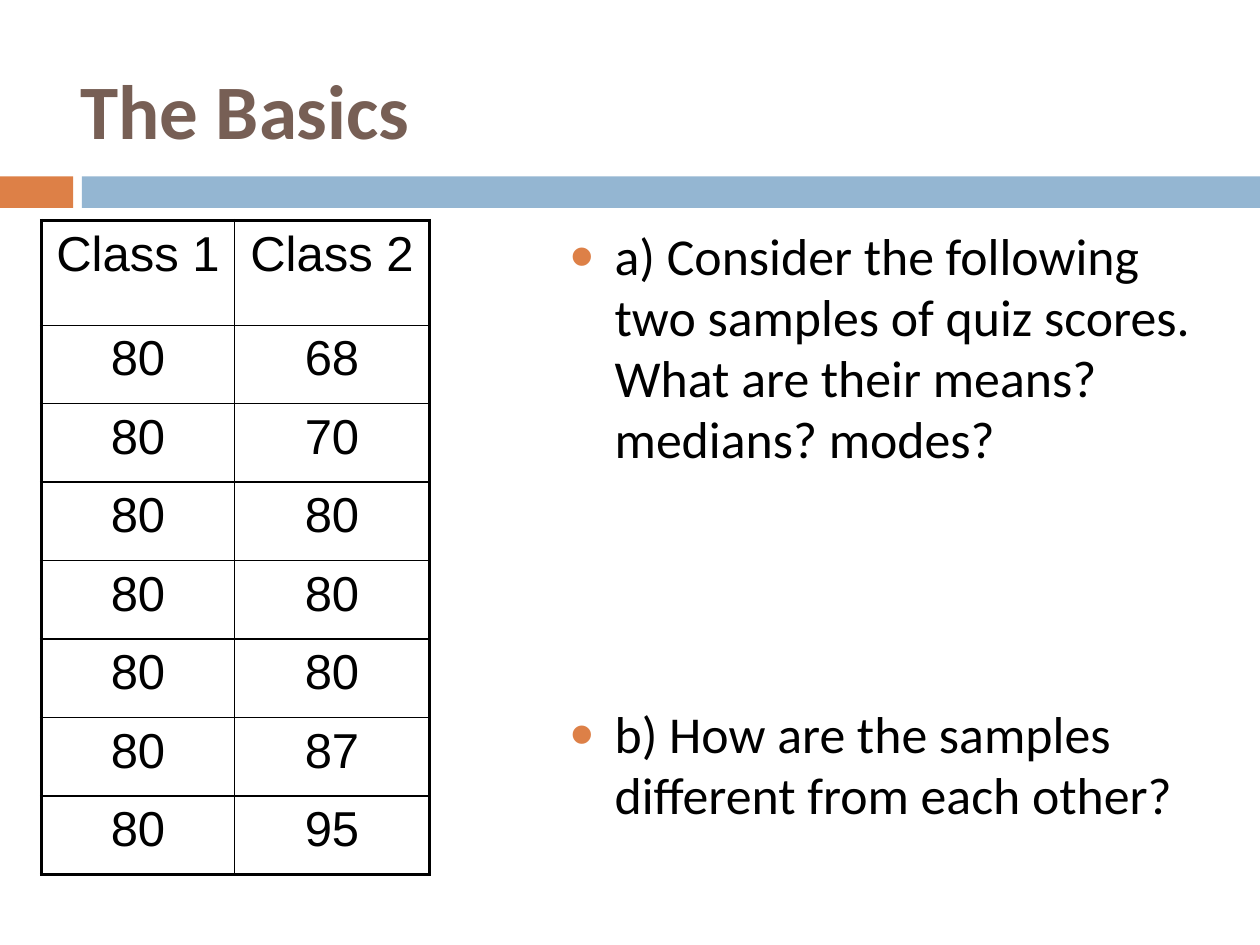
from dataclasses import dataclass

from lxml.etree import SubElement
from pptx import Presentation
from pptx.dml.color import RGBColor
from pptx.enum.shapes import MSO_SHAPE
from pptx.enum.text import MSO_ANCHOR, PP_ALIGN
from pptx.oxml.ns import qn
from pptx.util import Inches, Pt

WIDTH, HEIGHT = Inches(10), Inches(7.5)


@dataclass(frozen=True)
class Theme:
    brown: str = "775F55"
    orange: str = "DD8047"
    blue: str = "94B6D2"
    black: str = "000000"
    font: str = "Calibri"
    grid_font: str = "Arial"
    title: float = 44
    body: float = 29.6
    cell: float = 28
    thick: float = 2.25
    thin: float = 1


THEME = Theme()

SCORES = [
    ("Class 1", "Class 2"),
    *[("80", mark) for mark in ("68", "70", "80", "80", "80", "87", "95")],
]
ASKS = [
    "a) Consider the following two samples of quiz scores. "
    "What are their means? medians? modes?",
    "b) How are the samples different from each other?",
]


def across(share):
    return int(WIDTH * share / 100)


def down(share):
    return int(HEIGHT * share / 100)


def place(left, top, width, height):
    """Turn percentages of the slide into a position and size."""
    return across(left), down(top), across(width), down(height)


def style(para, face, size, color, bold=False):
    font = para.font
    font.name, font.size, font.bold = face, Pt(size), bold
    font.color.rgb = RGBColor.from_string(color)


def add_bar(slide, area, color):
    bar = slide.shapes.add_shape(MSO_SHAPE.RECTANGLE, *place(*area))
    bar.shadow.inherit = False
    bar.fill.solid()
    bar.fill.fore_color.rgb = RGBColor.from_string(color)
    bar.line.fill.background()


def add_box(slide, area):
    frame = slide.shapes.add_textbox(*place(*area)).text_frame
    frame.word_wrap = True
    return frame


def add_title(slide, text, area):
    frame = add_box(slide, area)
    frame.vertical_anchor = MSO_ANCHOR.MIDDLE
    para = frame.paragraphs[0]
    para.text = text
    style(para, THEME.font, THEME.title, THEME.brown, bold=True)


def add_bullet(para):
    props = para._p.get_or_add_pPr()
    props.set("marL", str(Inches(0.35)))
    props.set("indent", str(-Inches(0.35)))
    tint = SubElement(props, qn("a:buClr"))
    SubElement(tint, qn("a:srgbClr"), val=THEME.orange)
    SubElement(props, qn("a:buSzPct"), val="130000")
    SubElement(props, qn("a:buFont"), typeface=THEME.grid_font)
    SubElement(props, qn("a:buChar"), char="•")


def add_asks(slide, asks, area, gap):
    frame = add_box(slide, area)
    for i, ask in enumerate(asks):
        para = frame.add_paragraph() if i else frame.paragraphs[0]
        para.text = ask
        add_bullet(para)
        para.line_spacing = 0.98
        para.space_before = Pt(gap if i else 0)
        style(para, THEME.font, THEME.body, THEME.black)


def add_edges(cell, thick):
    """Draw the four borders, heavier on the sides named in thick."""
    props = cell._tc.get_or_add_tcPr()
    for side in "LRTB":
        size = THEME.thick if side in thick else THEME.thin
        line = SubElement(props, qn(f"a:ln{side}"), w=str(Pt(size)))
        fill = SubElement(line, qn("a:solidFill"))
        SubElement(fill, qn("a:srgbClr"), val=THEME.black)


def add_scores(slide, rows, left, top, cols, head, step):
    count = len(rows)
    area = place(left, top, sum(cols), head + step * (count - 1))
    table = slide.shapes.add_table(count, len(cols), *area).table
    table.first_row = table.horz_banding = False
    for col, width in zip(table.columns, cols):
        col.width = across(width)
    for r, row in enumerate(rows):
        table.rows[r].height = down(step if r else head)
        ends = ("" if r else "T") + ("B" if r == count - 1 else "")
        for c, text in enumerate(row):
            cell = table.cell(r, c)
            add_edges(cell, ends + "LR"[c])
            cell.fill.background()
            cell.text = text
            para = cell.text_frame.paragraphs[0]
            para.alignment = PP_ALIGN.CENTER
            style(para, THEME.grid_font, THEME.cell, THEME.black)


def main():
    deck = Presentation()
    deck.slide_width, deck.slide_height = WIDTH, HEIGHT
    slide = deck.slides.add_slide(deck.slide_layouts[6])
    add_bar(slide, (0, 18.67, 5.8, 3.33), THEME.orange)
    add_bar(slide, (6.5, 18.67, 93.5, 3.33), THEME.blue)
    add_title(slide, "The Basics", (5.4, 3.2, 90, 16.67))
    add_asks(slide, ASKS, (44.3, 23.33, 53.7, 73.33), gap=134)
    add_scores(slide, SCORES, 3.3, 23.33, (15.3, 15.5), head=11.1, step=8.3)
    deck.save("out.pptx")


if __name__ == "__main__":
    main()
